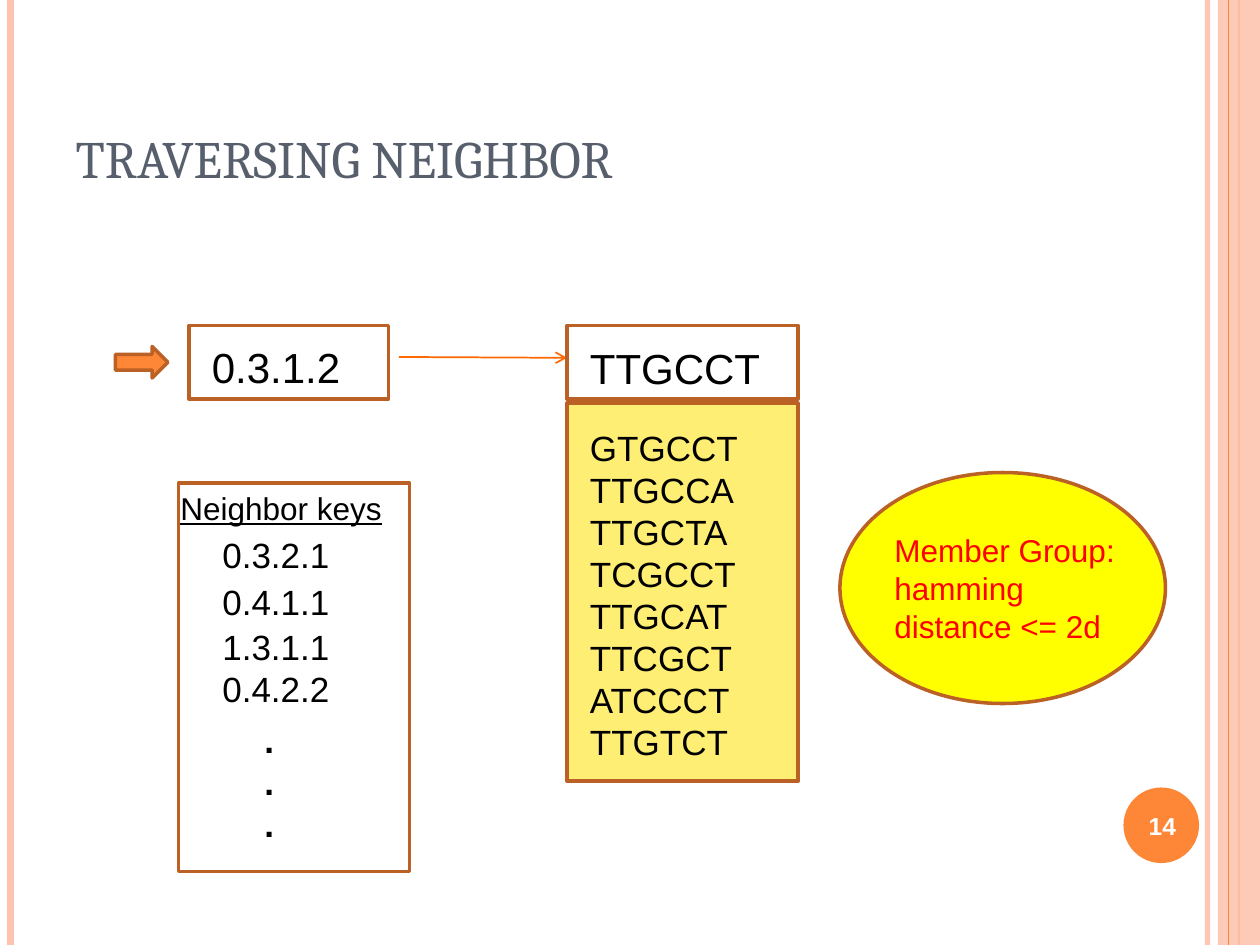
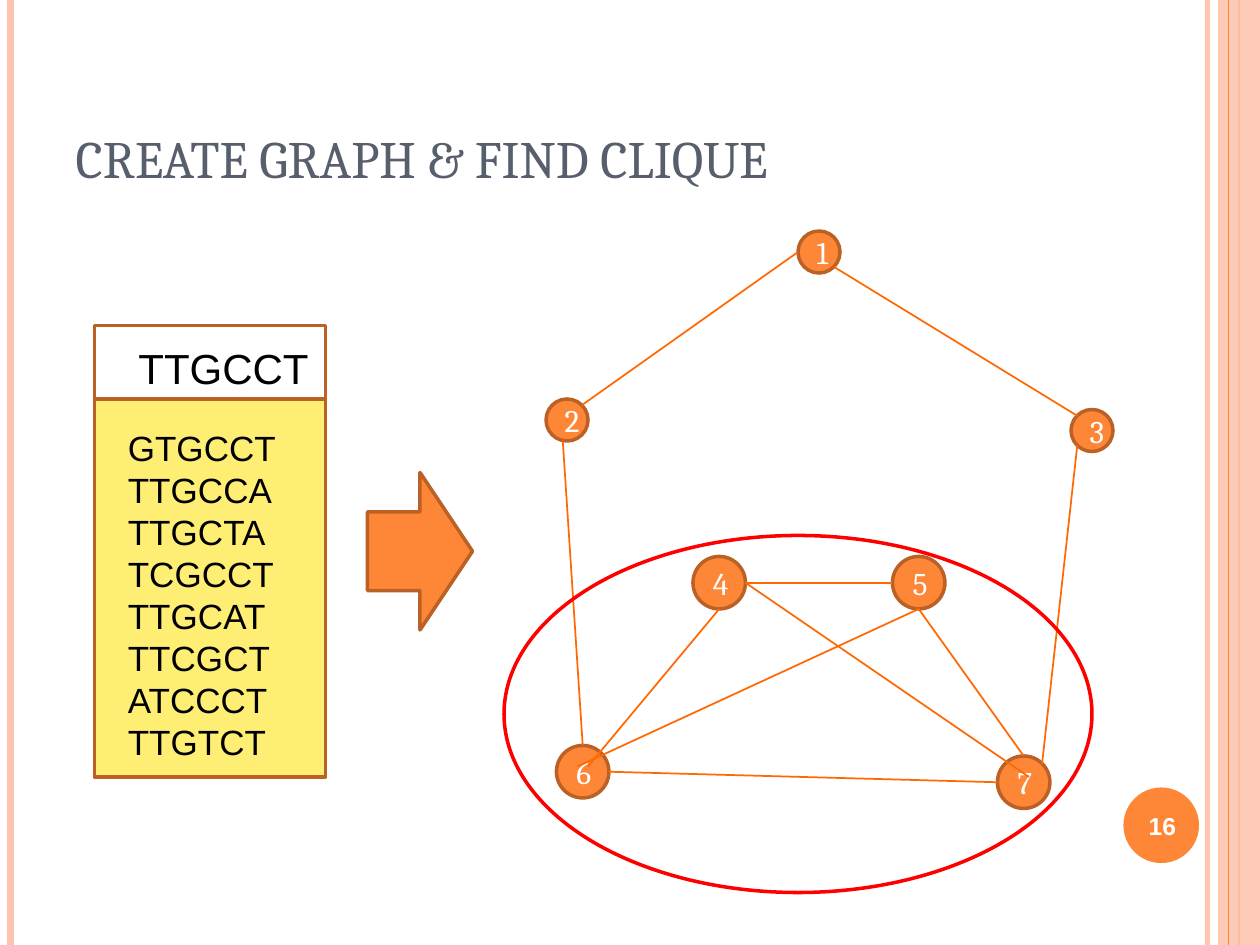
import dataclasses

import pptx
import pptx.dml.color
import pptx.enum.shapes
import pptx.enum.text
import pptx.oxml
import pptx.oxml.ns
import pptx.util

SHAPE = pptx.enum.shapes.MSO_SHAPE
ALIGN = pptx.enum.text.PP_ALIGN
ANCHOR = pptx.enum.text.MSO_ANCHOR
COLUMNS, ROWS = 120, 90


@dataclasses.dataclass(frozen=True)
class Theme:
    heading_font: str = "Cambria"
    body_font: str = "Arial"
    title_size: int = 30
    key_size: int = 24
    list_size: int = 20
    label_size: int = 18
    number_size: int = 14
    outline_width: int = 2
    heading: str = "575F6D"
    ink: str = "000000"
    paper: str = "FFFFFF"
    accent: str = "FE8637"
    outline: str = "BB6126"
    link: str = "FF6903"
    pale: str = "FEC3AE"
    members: str = "FFEE74"
    note: str = "FFFF00"
    alert: str = "FF0000"


def assign(target, values):
    for name, value in values.items():
        setattr(target, name, value)


def rgb(color):
    return pptx.dml.color.RGBColor.from_string(color)


def set_alpha(shape, percent):
    color = next(shape.element.spPr.iter(pptx.oxml.ns.qn("a:srgbClr")))
    alpha = color.makeelement(pptx.oxml.ns.qn("a:alpha"), {"val": str(percent * 1000)})
    color.append(alpha)


class Deck:
    def __init__(self, theme):
        self.theme = theme
        self.presentation = pptx.Presentation()
        assign(self.presentation, {"slide_width": pptx.util.Inches(10),
                                   "slide_height": pptx.util.Inches(7.5)})
        self.layout = self.presentation.slide_layouts[5]
        self.slide = None

    def x(self, columns):
        return round(self.presentation.slide_width * columns / COLUMNS)

    def y(self, rows):
        return round(self.presentation.slide_height * rows / ROWS)

    def box(self, column, row, width, height):
        return self.x(column), self.y(row), self.x(width), self.y(height)

    def start_slide(self, title, number):
        first = self.slide is None
        self.slide = self.presentation.slides.add_slide(self.layout)
        if first:
            self.frame()
        heading = self.slide.shapes.title
        assign(heading, dict(zip(("left", "top", "width", "height"),
                                 self.box(6, 3.6, 98, 15))))
        self.fill_text(heading, title, self.theme.title_size, align=ALIGN.LEFT,
                       anchor=ANCHOR.BOTTOM, color=self.theme.heading,
                       font=self.theme.heading_font)
        self.text(number, (106.7, 75.2, 8, 6.8), self.theme.number_size,
                  color=self.theme.paper, bold=True, align=ALIGN.CENTER,
                  anchor=ANCHOR.MIDDLE)

    def frame(self):
        theme = self.theme
        inner_rule = self.rule(115, theme.pale, 3)
        set_alpha(inner_rule, 93)
        left_rule = self.rule(1, theme.pale, 4.5)
        band_rule = self.rule(118, theme.accent, 1.5)
        band = self.shape(SHAPE.RECTANGLE, (116, 0, 4, ROWS), theme.pale, None)
        set_alpha(band, 87)
        thin_rule = self.rule(117, theme.accent, 0.75)
        badge = self.shape(SHAPE.OVAL, (107, 75, 7.2, 7.2), theme.accent, None)
        for part in (inner_rule, left_rule, band_rule, band, thin_rule, badge):
            self.layout.shapes.element.append(part.element)

    def rule(self, column, color, width):
        return self.line((column, 0), (column, ROWS), color, width)

    def fill_text(self, shape, text, size, align=ALIGN.LEFT, anchor=ANCHOR.TOP,
                  color=None, font=None, **style):
        frame = shape.text_frame
        frame.text = text
        assign(frame, {"word_wrap": True, "vertical_anchor": anchor,
                       "auto_size": pptx.enum.text.MSO_AUTO_SIZE.NONE})
        look = {"name": font or self.theme.body_font, "size": pptx.util.Pt(size), **style}
        for paragraph in frame.paragraphs:
            paragraph.alignment = align
            for run in paragraph.runs:
                assign(run.font, look)
                run.font.color.rgb = rgb(color or self.theme.ink)

    def text(self, text, area, size, **style):
        self.fill_text(self.slide.shapes.add_textbox(*self.box(*area)), text, size, **style)

    def shape(self, kind, area, fill, outline):
        shape = self.slide.shapes.add_shape(kind, *self.box(*area))
        shape.shadow.inherit = False
        for paint, color in ((shape.fill, fill), (shape.line.fill, outline)):
            if color is None:
                paint.background()
            else:
                paint.solid()
                paint.fore_color.rgb = rgb(color)
        if outline:
            shape.line.width = pptx.util.Pt(self.theme.outline_width)
        return shape

    def outlined(self, kind, area, fill):
        return self.shape(kind, area, fill, self.theme.outline)

    def line(self, start, end, color=None, width=1, arrow=False):
        line = self.slide.shapes.add_connector(
            pptx.enum.shapes.MSO_CONNECTOR.STRAIGHT,
            self.x(start[0]), self.y(start[1]), self.x(end[0]), self.y(end[1]))
        line.line.color.rgb = rgb(color or self.theme.link)
        line.line.width = pptx.util.Pt(width)
        properties = line.element.spPr
        if arrow:
            outline = properties.find(pptx.oxml.ns.qn("a:ln"))
            outline.append(outline.makeelement(pptx.oxml.ns.qn("a:tailEnd"), {"type": "arrow"}))
        properties.append(properties.makeelement(pptx.oxml.ns.qn("a:effectLst"), {}))
        return line

    def node(self, label, area):
        circle = self.outlined(SHAPE.OVAL, area, self.theme.accent)
        self.fill_text(circle, label, self.theme.label_size, align=ALIGN.CENTER,
                       anchor=ANCHOR.MIDDLE, color=self.theme.paper,
                       font=self.theme.heading_font)

    def member_group(self, column, list_row, key_column, members_column):
        theme = self.theme
        self.outlined(SHAPE.RECTANGLE, (column, 31, 22, 7), theme.paper)
        self.text("TTGCCT", (key_column, 32, 20, 6), theme.key_size)
        self.outlined(SHAPE.RECTANGLE, (column, list_row, 22, 36), theme.members)
        self.text("\n".join(MEMBERS), (members_column, 40, 20, 37), theme.list_size)


MEMBERS = ("GTGCCT", "TTGCCA", "TTGCTA", "TCGCCT",
           "TTGCAT", "TTCGCT", "ATCCCT", "TTGTCT")
NEIGHBOR_KEYS = {"0.3.2.1": 50.2, "0.4.1.1": 54.7, "1.3.1.1": 59, "0.4.2.2": 63}
GRAPH_NODES = {"1": (76, 22, 4), "2": (52, 38, 4), "3": (102, 39, 4),
               "6": (53, 71, 5), "7": (95, 72, 5), "4": (66, 53, 5), "5": (85, 53, 5)}
SITES = {"top": (0.5, 0), "left": (0, 0.5), "right": (1, 0.5), "bottom": (0.5, 1),
         "top left": (0.15, 0.15), "top right": (0.85, 0.15),
         "bottom left": (0.15, 0.85), "bottom right": (0.85, 0.85),
         "below": (0.4, 1), "inner left": (0.4, 0.4), "inner right": (0.6, 0.4)}
GRAPH_EDGES = (("1", "left", "2", "top right"), ("2", "below", "6", "top"),
               ("1", "bottom right", "3", "top left"), ("4", "bottom", "6", "inner right"),
               ("4", "right", "5", "left"), ("5", "bottom", "7", "top"),
               ("6", "right", "7", "left"), ("3", "bottom left", "7", "top right"),
               ("4", "right", "7", "inner right"), ("5", "bottom", "6", "inner left"))


def traversing_neighbor(deck):
    theme = deck.theme
    deck.start_slide("TRAVERSING NEIGHBOR", "14")
    deck.outlined(SHAPE.RECTANGLE, (18, 31, 19, 7), theme.paper)
    deck.text("0.3.1.2", (19, 31.9, 18, 6), theme.key_size)
    deck.line((38, 34), (54, 34.08), arrow=True)
    deck.member_group(54, 38.4, 55, 55)
    deck.outlined(SHAPE.RIGHT_ARROW, (11, 33, 5, 3), theme.accent)

    deck.outlined(SHAPE.RECTANGLE, (17, 46, 22, 37), theme.paper)
    deck.text("Neighbor keys", (16, 46, 24, 4.8), theme.label_size, underline=True)
    for key, row in NEIGHBOR_KEYS.items():
        deck.text(key, (20, row, 24, 5.3), theme.list_size)
    deck.text("\n".join("..."), (24, 67.8, 5, 13.2), theme.list_size, bold=True)

    deck.outlined(SHAPE.OVAL, (80, 45, 31, 22), theme.note)
    deck.text("Member Group: hamming distance <= 2d", (84, 50, 24, 12),
              theme.label_size, color=theme.alert)


def graph_and_clique(deck):
    theme = deck.theme
    deck.start_slide("CREATE GRAPH & FIND CLIQUE", "16")
    deck.member_group(9, 38, 12, 11)
    for label, (column, row, size) in GRAPH_NODES.items():
        deck.node(label, (column, row, size, size))

    def site(label, name):
        column, row, size = GRAPH_NODES[label]
        across, down = SITES[name]
        return column + size * across, row + size * down

    for source, leave, target, enter in GRAPH_EDGES:
        deck.line(site(source, leave), site(target, enter))
    deck.outlined(SHAPE.RIGHT_ARROW, (35, 45, 10, 15), theme.accent)
    deck.shape(SHAPE.OVAL, (48, 51, 56, 34), None, theme.alert)


def main():
    deck = Deck(Theme())
    traversing_neighbor(deck)
    graph_and_clique(deck)
    deck.presentation.save("out.pptx")


if __name__ == "__main__":
    main()
